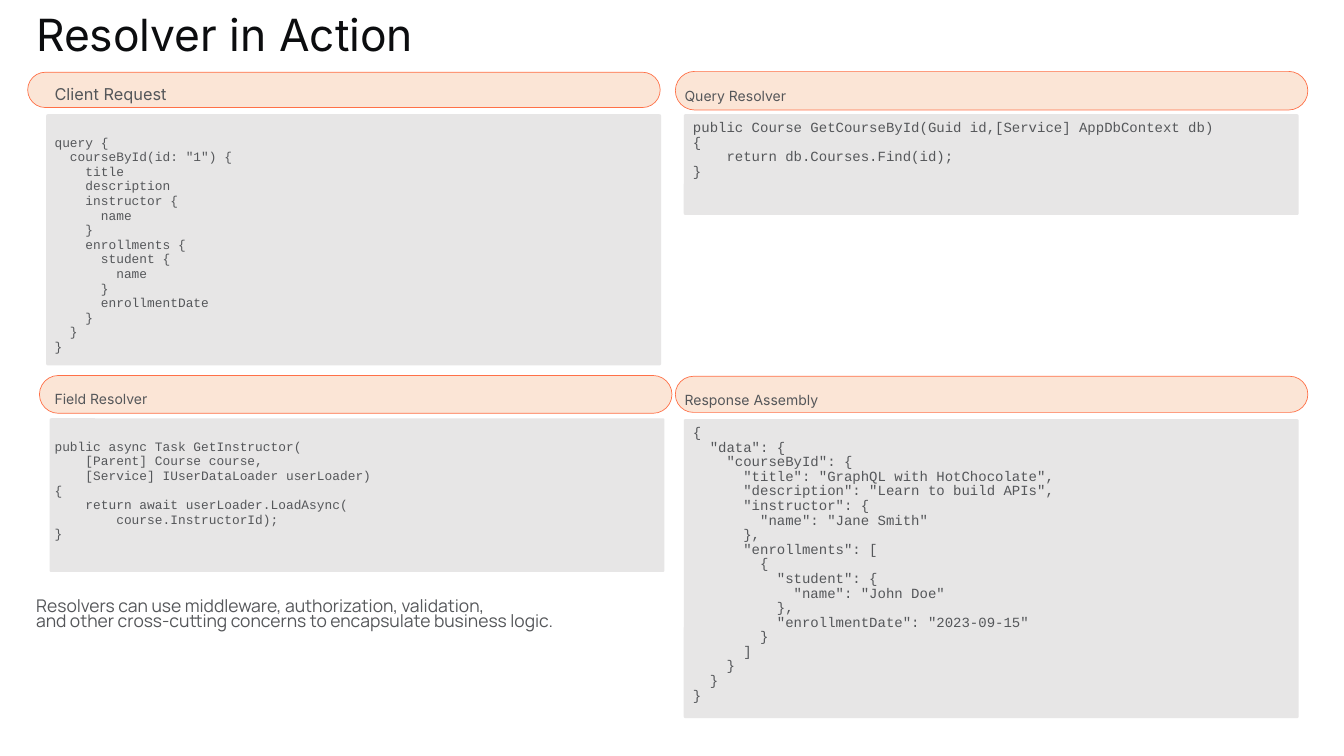
from pptx import Presentation
from pptx.dml.color import RGBColor
from pptx.enum.shapes import MSO_SHAPE as SHAPE
from pptx.enum.text import MSO_ANCHOR, MSO_AUTO_SIZE, PP_ALIGN
from pptx.util import Inches, Pt

INK = RGBColor(0x0C, 0x0D, 0x0F)
GREY_TEXT = RGBColor(0x55, 0x57, 0x5A)
PEACH = RGBColor(0xFB, 0xE5, 0xD6)
ORANGE = RGBColor(0xFF, 0x70, 0x47)
CODE_GREY = RGBColor(0xE7, 0xE6, 0xE6)

HEADING_FONT, CODE_FONT, NOTE_FONT = "Inter", "Courier New", "Manrope"
PILL_W, PANEL_W, CODE_W = 7.53, 7.32, 7.1

CLIENT_REQUEST = """query {
  courseById(id: "1") {
    title
    description
    instructor {
      name
    }
    enrollments {
      student {
        name
      }
      enrollmentDate
    }
  }
}"""

QUERY_RESOLVER = """public Course GetCourseById(Guid id,[Service] AppDbContext db)
{
    return db.Courses.Find(id);
}"""

FIELD_RESOLVER = """public async Task GetInstructor(
    [Parent] Course course,
    [Service] IUserDataLoader userLoader)
{
    return await userLoader.LoadAsync(
        course.InstructorId);
}"""

RESPONSE = """{
  "data": {
    "courseById": {
      "title": "GraphQL with HotChocolate",
      "description": "Learn to build APIs",
      "instructor": {
        "name": "Jane Smith"
      },
      "enrollments": [
        {
          "student": {
            "name": "John Doe"
          },
          "enrollmentDate": "2023-09-15"
        }
      ]
    }
  }
}"""

NOTE = """Resolvers can use middleware, authorization, validation,
and other cross-cutting concerns to encapsulate business logic."""

# heading, heading size, pill (left, top, height), heading position,
# panel (left, top, height), code, code size, code (left, top, height)
SECTIONS = [
    ("Client Request", 14, (0.33, 0.86, 0.42), (0.65, 1.07),
     (0.55, 1.36, 2.99), CLIENT_REQUEST, 11, (0.65, 1.61, 2.6)),
    ("Query Resolver", 12, (8.04, 0.85, 0.46), (8.15, 1.07),
     (8.14, 1.36, 1.2), QUERY_RESOLVER, 12, (8.25, 1.44, 1.04)),
    ("Field Resolver", 12, (0.47, 4.47, 0.45), (0.65, 4.68),
     (0.59, 4.98, 1.83), FIELD_RESOLVER, 11, (0.65, 5.23, 1.4)),
    ("Response Assembly", 12, (8.04, 4.48, 0.43), (8.15, 4.7),
     (8.14, 4.99, 3.56), RESPONSE, 12, (8.25, 5.07, 3.3)),
]


def write(tf, text, *, font, size, color=GREY_TEXT, spacing=12.5):
    """Fill a frame with one paragraph per line of text."""
    tf.margin_left = tf.margin_right = tf.margin_top = tf.margin_bottom = 0
    tf.word_wrap = True
    tf.auto_size = MSO_AUTO_SIZE.NONE
    tf.vertical_anchor = MSO_ANCHOR.TOP
    for i, line in enumerate(text.split("\n")):
        p = tf.add_paragraph() if i else tf.paragraphs[0]
        p.alignment = PP_ALIGN.LEFT
        p.line_spacing = Pt(spacing)
        p.space_before = Pt(0)
        r = p.add_run()
        r.text = line
        r.font.name = font
        r.font.size = Pt(size)
        r.font.color.rgb = color


class SlideBuilder:
    def __init__(self, slide):
        self.s = slide

    def title(self, text, left, top, width, height):
        sp = self.s.shapes.title
        sp.left, sp.top = Inches(left), Inches(top)
        sp.width, sp.height = Inches(width), Inches(height)
        write(sp.text_frame, text, font=HEADING_FONT, size=38, color=INK,
              spacing=24)

    def text(self, text, left, top, width, height, **style):
        sp = self.s.shapes.add_textbox(Inches(left), Inches(top),
                                       Inches(width), Inches(height))
        write(sp.text_frame, text, **style)

    def rounded(self, left, top, width, height, fill, radius, line=None):
        sp = self.s.shapes.add_shape(SHAPE.ROUNDED_RECTANGLE, Inches(left),
                                     Inches(top), Inches(width), Inches(height))
        sp.shadow.inherit = False
        sp.adjustments[0] = radius / min(width, height)
        sp.fill.solid()
        sp.fill.fore_color.rgb = fill
        if line is None:
            sp.line.fill.background()
        else:
            sp.line.color.rgb = line
            sp.line.width = Pt(0.6)

    def section(self, heading, size, pill, heading_at, panel, code, code_size,
                code_at):
        left, top, height = pill
        self.rounded(left, top, PILL_W, height, PEACH, height / 2, ORANGE)
        self.text(heading, *heading_at, 3, 0.17, font=HEADING_FONT, size=size,
                  spacing=12)
        left, top, height = panel
        self.rounded(left, top, PANEL_W, height, CODE_GREY, 0.02)
        left, top, height = code_at
        self.text(code, left, top, CODE_W, height, font=CODE_FONT,
                  size=code_size)


def main():
    prs = Presentation()
    prs.slide_width, prs.slide_height = Inches(16), Inches(9)
    title_only = prs.slide_layouts[5]
    builder = SlideBuilder(prs.slides.add_slide(title_only))
    builder.title("Resolver in Action", 0.43, 0.38, 7, 0.34)
    for section in SECTIONS:
        builder.section(*section)
    builder.text(NOTE, 0.43, 7.16, 6.92, 0.77, font=NOTE_FONT, size=15)
    prs.save("out.pptx")


if __name__ == "__main__":
    main()
